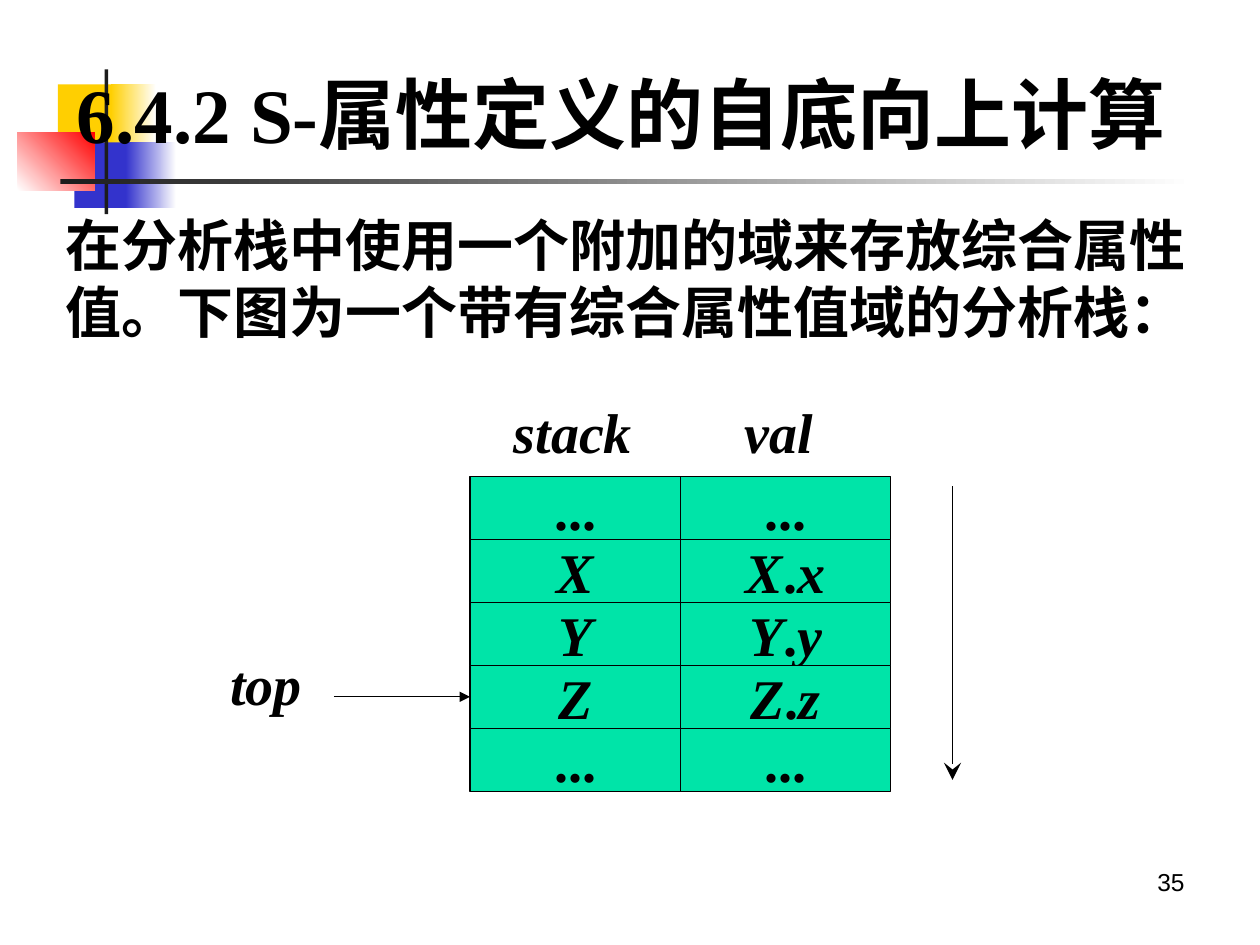
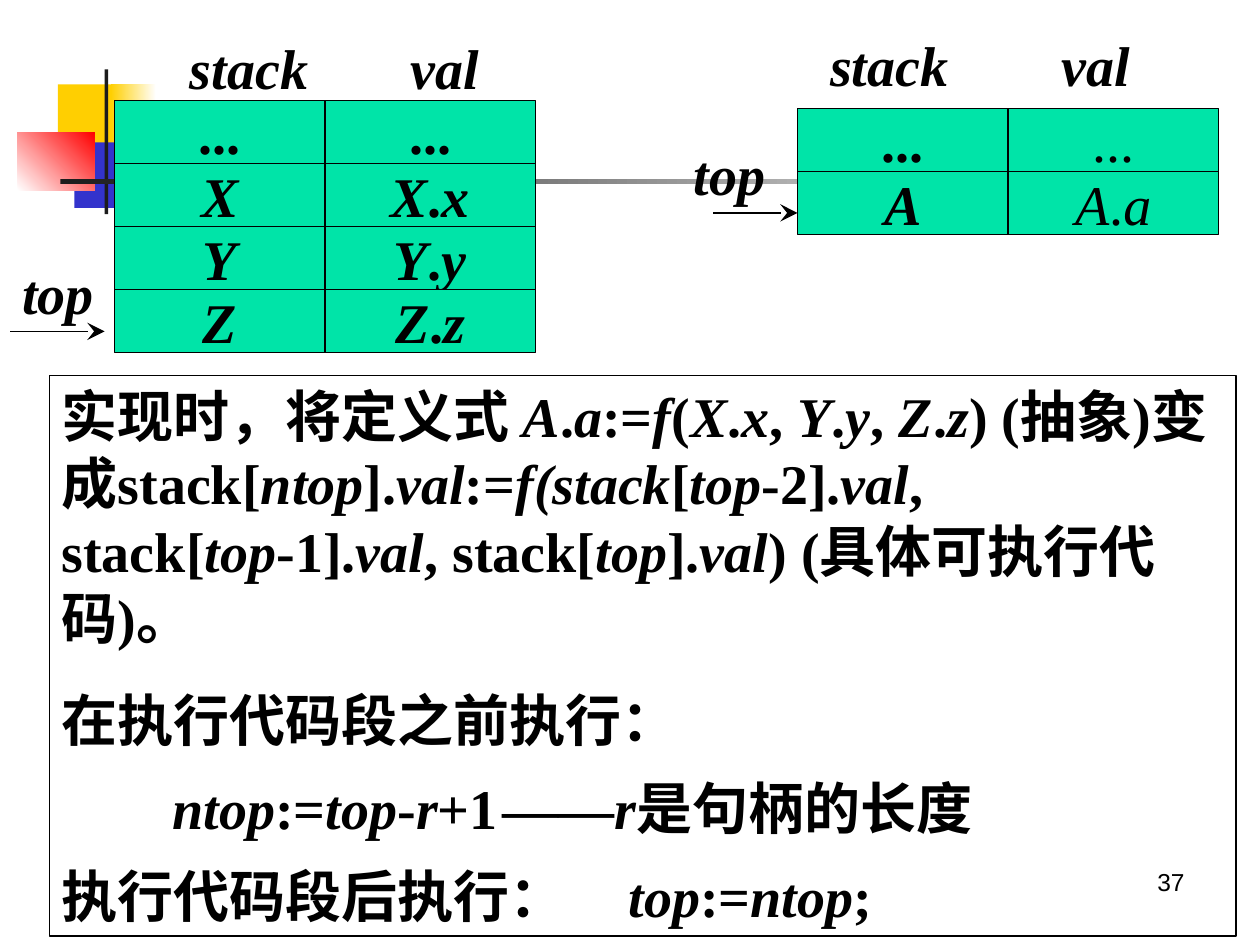
from lxml import etree
from pptx import Presentation
from pptx.dml.color import RGBColor
from pptx.enum.shapes import MSO_CONNECTOR, MSO_SHAPE
from pptx.enum.text import MSO_ANCHOR, MSO_AUTO_SIZE, PP_ALIGN
from pptx.oxml.ns import qn
from pptx.util import Inches, Pt

RECTANGLE = MSO_SHAPE.RECTANGLE
STRAIGHT = MSO_CONNECTOR.STRAIGHT
LEFT, CENTER, RIGHT = PP_ALIGN.LEFT, PP_ALIGN.CENTER, PP_ALIGN.RIGHT
TOP, MIDDLE = MSO_ANCHOR.TOP, MSO_ANCHOR.MIDDLE
NO_FIT = MSO_AUTO_SIZE.NONE

COLORS = {
    "ink": "000000", "paper": "FFFFFF", "cell": "00E4A8", "yellow": "FFCF01",
    "blue": "3333CC", "red": "FF0000", "rule": "1C1C1C",
}
RGB = {name: RGBColor.from_string(value) for name, value in COLORS.items()}
SERIF, SANS, CJK = "Times New Roman", "Arial", "Noto Sans CJK SC"
CELL_WIDTH, CELL_HEIGHT = 1.67, 0.5


def write(paragraph, marked, size=32, font=SERIF, bold=True, align=LEFT):
    paragraph.alignment = align
    paragraph.font.name = font
    paragraph.font.size = Pt(size)
    paragraph.font.bold = bold
    paragraph.font.color.rgb = RGB["ink"]
    for position, part in enumerate(marked.split("*")):
        if part:
            run = paragraph.add_run()
            run.text = part
            if position % 2:
                run.font.italic = True


def add_text(slide, box, marked, **style):
    label = slide.shapes.add_textbox(*map(Inches, box))
    label.text_frame.word_wrap = True
    write(label.text_frame.paragraphs[0], marked, **style)
    return label


prs = Presentation()
prs.slide_width, prs.slide_height = Inches(10), Inches(7.5)
stack_slide = prs.slides.add_slide(prs.slide_layouts[1])
code_slide = prs.slides.add_slide(prs.slide_layouts[6])

master_tree = prs.slide_master.element.cSld.spTree
ornaments = [
    ((0.46, 0.67, 0.48, 0.52), "yellow", None, 0),
    ((0.88, 0.67, 0.36, 0.52), "yellow", "paper", 0),
    ((0.59, 1.13, 0.46, 0.52), "blue", None, 0),
    ((1, 1.13, 0.4, 0.52), "blue", "paper", 0),
    ((0.14, 1.05, 0.61, 0.46), "paper", "red", 45),
    ((0.83, 0.55, 0.03, 1.15), "rule", None, 0),
    ((0.48, 1.42, 9, 0.04), "rule", "paper", 0),
]
for box, start, end, angle in ornaments:
    ornament = stack_slide.shapes.add_shape(RECTANGLE, *map(Inches, box))
    ornament.shadow.inherit = False
    ornament.line.fill.background()
    if end:
        ornament.fill.gradient()
        ornament.fill.gradient_angle = angle
        for stop, color in zip(ornament.fill.gradient_stops, (start, end)):
            stop.color.rgb = RGB[color]
    else:
        ornament.fill.solid()
        ornament.fill.fore_color.rgb = RGB[start]
    master_tree.append(ornament.element)

for slide, number in ((stack_slide, "35"), (code_slide, "37")):
    add_text(slide, (7.17, 6.83, 2.33, 0.52), number,
             size=14, font=SANS, bold=False, align=RIGHT)

title, intro = stack_slide.placeholders
for holder, box, words, size, font in (
    (title, (0.51, 0.48, 9.3, 0.84), "6.4.2 S-属性定义的自底向上计算", 44, SERIF),
    (intro, (0.42, 1.62, 9.23, 1.17),
     "在分析栈中使用一个附加的域来存放综合属性值。下图为一个带有综合属性值域的分析栈：", 32, CJK),
):
    holder.left, holder.top, holder.width, holder.height = map(Inches, box)
    frame = holder.text_frame
    frame.auto_size = NO_FIT
    frame.vertical_anchor = TOP
    frame.word_wrap = True
    paragraph = frame.paragraphs[0]
    properties = paragraph._p.get_or_add_pPr()
    properties.set("marL", "0")
    properties.set("indent", "0")
    etree.SubElement(properties, qn("a:buNone"))
    paragraph.space_before = Pt(0)
    write(paragraph, words, size=size, font=font)

labels = [
    (stack_slide, 3.98, 3.11, 1.24, "stack"),
    (stack_slide, 5.81, 3.11, 0.83, "val"),
    (stack_slide, 1.73, 5.11, 1.08, "top"),
    (code_slide, 1.41, 0.22, 1.3, "stack"),
    (code_slide, 3.16, 0.22, 0.83, "val"),
    (code_slide, 0.08, 2, 0.83, "top"),
    (code_slide, 6.49, 0.19, 1.42, "stack"),
    (code_slide, 8.33, 0.19, 0.83, "val"),
    (code_slide, 5.41, 1.06, 0.83, "top"),
]
for slide, left, top, width, word in labels:
    add_text(slide, (left, top, width, 0.64), f"*{word}*")

dots = ("...", "...")
handle = [(f"*{symbol}*", f"*{symbol}*.*{symbol.lower()}*") for symbol in "XYZ"]
stacks = [
    (stack_slide, 3.73, 3.78, [dots, *handle, dots], True),
    (code_slide, 0.91, 0.8, [dots, *handle], True),
    (code_slide, 6.33, 0.86, [dots, ("*A*", "*A*.*a*")], False),
]
symbol_cells = []
for slide, left, top, rows, bold_values in stacks:
    for row, entries in enumerate(rows):
        for column, entry in enumerate(entries):
            cell = slide.shapes.add_shape(
                RECTANGLE, Inches(left + column * CELL_WIDTH), Inches(top + row * CELL_HEIGHT),
                Inches(CELL_WIDTH), Inches(CELL_HEIGHT))
            cell.shadow.inherit = False
            cell.fill.solid()
            cell.fill.fore_color.rgb = RGB["cell"]
            cell.line.color.rgb = RGB["ink"]
            cell.line.width = Pt(0.75)
            cell.text_frame.word_wrap = False
            cell.text_frame.vertical_anchor = MIDDLE
            write(cell.text_frame.paragraphs[0], entry,
                  bold=bold_values or column == 0, align=CENTER)
            if column == 0:
                symbol_cells.append(cell)
top_cell = symbol_cells[3]

arrows = [
    (stack_slide, (2.65, 5.53, 3.73, 5.53), "triangle", "med", top_cell),
    (stack_slide, (7.56, 3.86, 7.56, 6.19), "stealth", "lg", None),
    (code_slide, (0.08, 2.63, 0.83, 2.63), "stealth", "lg", None),
    (code_slide, (5.66, 1.69, 6.33, 1.69), "stealth", "lg", None),
]
for slide, ends, head, head_size, target in arrows:
    arrow = slide.shapes.add_connector(STRAIGHT, *map(Inches, ends))
    arrow.line.color.rgb = RGB["ink"]
    arrow.line.width = Pt(0.75)
    outline = arrow.element.spPr.find(qn("a:ln"))
    etree.SubElement(outline, qn("a:tailEnd"), type=head, w=head_size, len=head_size)
    etree.SubElement(arrow.element.spPr, qn("a:effectLst"))
    if target:
        arrow.end_connect(target, 1)

steps = [
    ("在执行代码段之前执行：", 20, 0, None),
    ("*ntop*:=*top*-*r*+1\t——*r*是句柄的长度", 12, 0.88, 3.79),
    ("执行代码段后执行：\t*top*:=*ntop*;", 12, 0, 4.3),
]
code_box = add_text(
    code_slide, (0.39, 2.98, 9.42, 4.45),
    "实现时，将定义式 *A*.*a*:=*f*(*X*.*x*, *Y*.*y*, *Z*.*z*) (抽象)变成stack[*ntop*].*val*:="
    "*f(stack*[*top*-2].*val*, stack[*top*-1].*val*, stack[*top*].*val*) (具体可执行代码)。")
code_box.line.color.rgb = RGB["ink"]
code_box.line.width = Pt(0.75)
for words, space, indent, tab in steps:
    paragraph = code_box.text_frame.add_paragraph()
    properties = paragraph._p.get_or_add_pPr()
    properties.set("marL", "0")
    properties.set("indent", str(Inches(indent)))
    if tab:
        stops = etree.SubElement(properties, qn("a:tabLst"))
        etree.SubElement(stops, qn("a:tab"), pos=str(Inches(tab)), algn="l")
    paragraph.space_before = Pt(space)
    write(paragraph, words)

prs.save("out.pptx")
